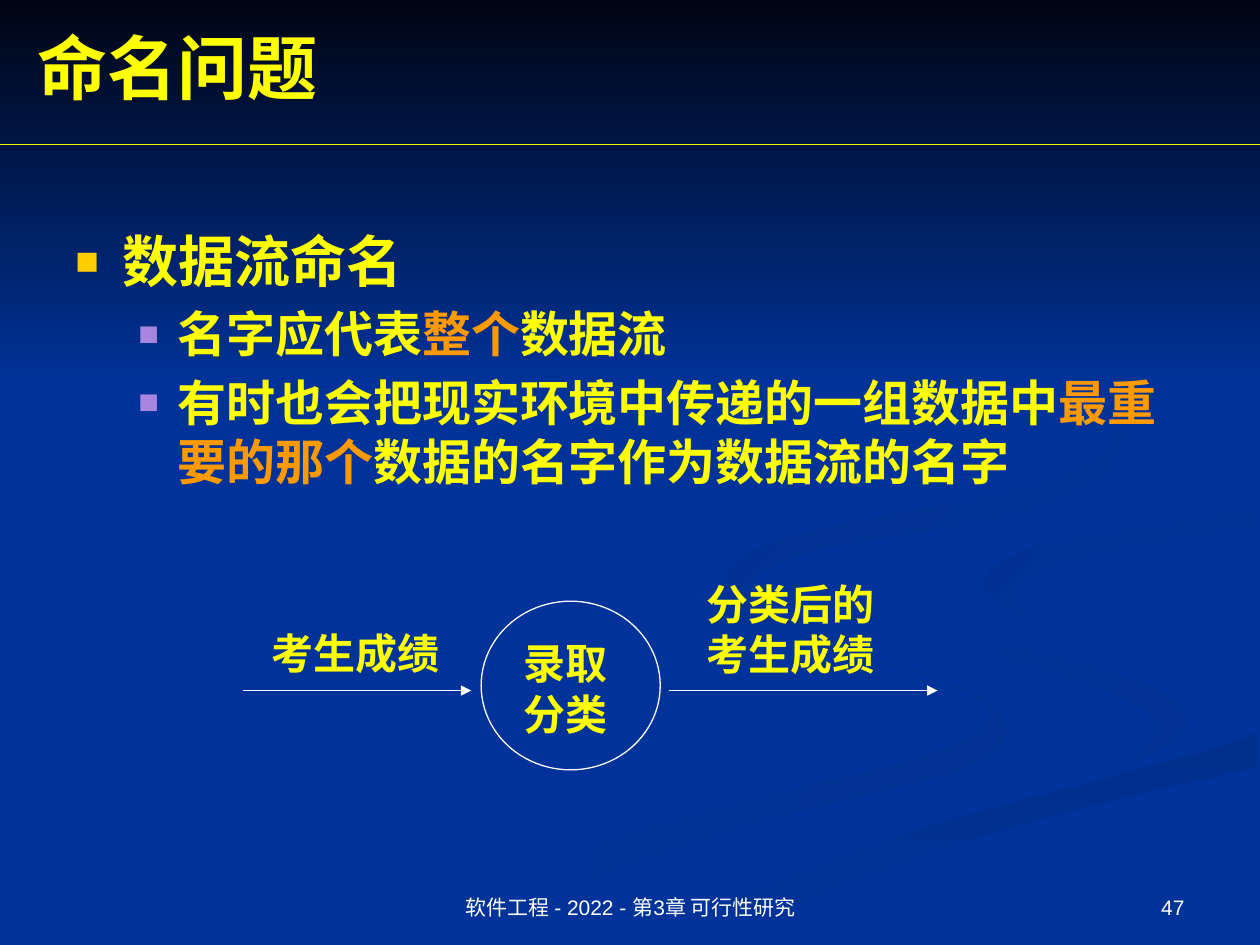
from lxml import etree
from pptx import Presentation
from pptx import util as u
from pptx.dml import color
from pptx.enum import shapes, text
from pptx.oxml import ns

BLUE, YELLOW, ORANGE, WHITE = "003399", "FFFF00", "FF9900", "FFFFFF"
HEADING = {"name": "Times New Roman", "size": u.Pt(40), "bold": True}
TOPIC = {**HEADING, "size": u.Pt(32)}
DETAIL = {**HEADING, "size": u.Pt(28)}
LABEL = {**HEADING, "size": u.Pt(24)}
FOOTER = {"name": "Arial", "size": u.Pt(12), "bold": False}

LOWER_LEFT_RIBBON = [
    (781, 553), (757, 543), (731, 533), (682, 519), (642, 507), (614, 496),
    (587, 481), (576, 469), (575, 459), (570, 468), (572, 476), (586, 487),
    (611, 499), (654, 513), (697, 525), (741, 539), (770, 551), (783, 559),
    (786, 566), (780, 579), (759, 590), (727, 602), (684, 613), (616, 629),
    (539, 649), (458, 674), (376, 707), (300, 749), (361, 749), (431, 714),
    (499, 687), (564, 665), (623, 647), (699, 628), (756, 614), (786, 601),
    (797, 588), (800, 581), (795, 567)]
INNER_RIBBON = [
    (943, 570), (935, 557), (919, 547), (888, 535), (850, 524), (792, 509),
    (758, 498), (733, 483), (724, 464), (727, 479), (739, 494), (766, 512),
    (797, 524), (838, 536), (880, 549), (907, 562), (917, 576), (914, 589),
    (894, 605), (925, 593), (941, 581)]
LOWER_RIGHT_RIBBON = [
    (519, 747), (503, 749), (571, 749), (614, 726), (670, 702), (752, 672),
    (821, 651), (903, 630), (998, 609), (998, 581), (963, 594), (903, 610),
    (831, 629), (764, 647), (696, 669), (630, 693), (569, 719)]
CENTRAL_RIBBON = [
    (725, 464), (734, 483), (759, 498), (793, 509), (851, 524), (889, 535),
    (920, 547), (939, 562), (943, 575), (931, 590), (902, 603), (843, 618),
    (743, 643), (663, 668), (573, 703), (477, 749), (503, 749), (519, 747),
    (570, 719), (630, 693), (696, 669), (765, 647), (868, 620), (964, 594),
    (999, 581), (999, 538), (941, 527), (866, 509), (817, 492), (786, 473),
    (781, 463), (792, 447), (822, 434), (865, 424), (933, 415), (999, 402),
    (999, 387), (942, 399), (830, 415), (770, 427), (732, 446)]
RIGHT_RIBBON = [
    (781, 460), (782, 469), (797, 483), (826, 496), (812, 487), (805, 476),
    (809, 466), (828, 453), (859, 443), (896, 435), (971, 423), (998, 420),
    (998, 402), (933, 415), (865, 424), (821, 434), (791, 447)]
UPPER_RIBBON = [
    (683, 430), (739, 421), (786, 412), (825, 402), (855, 391), (876, 378),
    (889, 362), (894, 344), (890, 324), (873, 299), (843, 275), (799, 250),
    (762, 233), (805, 254), (846, 279), (876, 306), (888, 328), (888, 341),
    (876, 360), (852, 374), (818, 386), (763, 398), (676, 414), (625, 426),
    (597, 437), (580, 451), (577, 462), (584, 479), (604, 492), (622, 500),
    (601, 485), (593, 470), (601, 456), (624, 444), (649, 436)]
RIBBONS = [
    (LOWER_LEFT_RIBBON, BLUE, "003193", 0),
    (INNER_RIBBON, BLUE, "003193", 45),
    (LOWER_RIGHT_RIBBON, "002F8C", BLUE, 90),
    (CENTRAL_RIBBON, BLUE, BLUE, 0),
    (RIGHT_RIBBON, "003091", BLUE, 45),
    (UPPER_RIBBON, "002F8E", BLUE, 45),
]


def rgb(value):
    return color.RGBColor.from_string(value)


def add_element(parent, tag, **attributes):
    return etree.SubElement(parent, ns.qn(tag), attributes)


class SlideBuilder:
    def __init__(self, slide, line_width=0.75):
        self.slide = slide
        self.line_width = u.Pt(line_width)

    def fill_gradient(self, shape, first, last, angle):
        shape.shadow.inherit = False
        shape.line.fill.background()
        shape.fill.gradient()
        shape.fill.gradient_angle = -angle % 360
        for stop, value in zip(shape.fill.gradient_stops, (first, last)):
            stop.color.rgb = rgb(value)

    def ribbon(self, points, first, last, angle):
        builder = self.slide.shapes.build_freeform(*points[0], scale=u.Cm(0.0254))
        builder.add_line_segments(points[1:], close=True)
        self.fill_gradient(builder.convert_to_shape(), first, last, angle)

    def band(self, box, first, last):
        shape = self.slide.shapes.add_shape(shapes.MSO_SHAPE.RECTANGLE, *map(u.Cm, box))
        self.fill_gradient(shape, first, last, 90)

    def outline(self, line, value):
        line.color.rgb = rgb(value)
        line.width = self.line_width

    def circle(self, box):
        shape = self.slide.shapes.add_shape(shapes.MSO_SHAPE.OVAL, *map(u.Cm, box))
        shape.shadow.inherit = False
        shape.fill.background()
        self.outline(shape.line, WHITE)

    def line(self, left, right, y, value, arrow=False):
        connector = self.slide.shapes.add_connector(
            shapes.MSO_CONNECTOR.STRAIGHT, *map(u.Cm, (left, y, right, y)))
        self.outline(connector.line, value)
        properties = connector._element.spPr
        if arrow:
            add_element(properties.find(ns.qn("a:ln")), "a:tailEnd", type="triangle")
        add_element(properties, "a:effectLst")

    def add_run(self, paragraph, content, style, value):
        run = paragraph.add_run()
        run.text = content
        for name, setting in style.items():
            setattr(run.font, name, setting)
        run.font.color.rgb = rgb(value)

    def title(self, box, content):
        shape = self.slide.shapes.title
        for name, length in zip(("left", "top", "width", "height"), box):
            setattr(shape, name, u.Cm(length))
        frame = shape.text_frame
        frame.vertical_anchor = text.MSO_ANCHOR.MIDDLE
        frame.paragraphs[0].alignment = text.PP_ALIGN.LEFT
        self.add_run(frame.paragraphs[0], content, HEADING, YELLOW)

    def label(self, box, lines, style=LABEL, value=YELLOW, align="LEFT", **frame_format):
        frame = self.slide.shapes.add_textbox(*map(u.Cm, box)).text_frame
        for name, setting in {"word_wrap": True, **frame_format}.items():
            setattr(frame, name, setting)
        for index, content in enumerate(lines):
            paragraph = frame.add_paragraph() if index else frame.paragraphs[0]
            paragraph.alignment = text.PP_ALIGN[align]
            self.add_run(paragraph, content, style, value)

    def bullets(self, box, items):
        frame = self.slide.shapes.add_textbox(*map(u.Cm, box)).text_frame
        frame.word_wrap = True
        for index, (level, pieces) in enumerate(items):
            paragraph = frame.add_paragraph() if index else frame.paragraphs[0]
            paragraph.level = level
            margin, hanging, bullet, style = (
                (2.06, 0.79, "A886E0", DETAIL) if level else (0.95, 0.95, "FFCC00", TOPIC))
            properties = paragraph._p.get_or_add_pPr()
            properties.set("marL", str(u.Cm(margin)))
            properties.set("indent", str(-u.Cm(hanging)))
            add_element(add_element(properties, "a:buClr"), "a:srgbClr", val=bullet)
            add_element(properties, "a:buSzPct", val="70000")
            add_element(properties, "a:buFont", typeface="Arial")
            add_element(properties, "a:buChar", char="■")
            if index:
                paragraph.space_before = u.Pt(style["size"].pt * 0.2)
            for content, value in pieces:
                self.add_run(paragraph, content, style, value)


def main():
    presentation = Presentation()
    presentation.slide_width, presentation.slide_height = u.Cm(25.4), u.Cm(19.05)
    slide = presentation.slides.add_slide(presentation.slide_layouts[5])
    slide.background.fill.solid()
    slide.background.fill.fore_color.rgb = rgb(BLUE)
    builder = SlideBuilder(slide)

    for ribbon in RIBBONS:
        builder.ribbon(*ribbon)
    builder.band((0, 0, 25.4, 7.82), "000514", BLUE)
    title_element = slide.shapes.title._element
    title_element.getparent().append(title_element)
    builder.title((0.51, 0.36, 22.86, 1.96), "命名问题")
    builder.line(0, 25.4, 2.92, YELLOW)
    builder.bullets((1.27, 4.45, 22.86, 5.87), [
        (0, [("数据流命名", YELLOW)]),
        (1, [("名字应代表", YELLOW), ("整个", ORANGE), ("数据流", YELLOW)]),
        (1, [("有时也会把现实环境中传递的一组数据中", YELLOW), ("最重要的那个", ORANGE),
             ("数据的名字作为数据流的名字", YELLOW)]),
    ])

    builder.circle((9.7, 12.12, 3.61, 3.4))
    for left, right in ((4.9, 9.5), (13.49, 18.9)):
        builder.line(left, right, 13.92, WHITE, arrow=True)
    grow = {"auto_size": text.MSO_AUTO_SIZE.SHAPE_TO_FIT_TEXT}
    builder.label((5.23, 12.52, 4.06, 1.3), ["考生成绩"], **grow)
    builder.label((14, 11.53, 4.7, 2.31), ["分类后的考生成绩"], **grow)
    builder.label((10.31, 12.73, 2.24, 2.31), ["录取", "分类"], word_wrap=False, **grow)

    bottom = {"vertical_anchor": text.MSO_ANCHOR.BOTTOM}
    builder.label((8.69, 17.35, 8.05, 1.32), ["软件工程 - 2022 - 第3章 可行性研究"],
                  FOOTER, WHITE, "CENTER", **bottom)
    builder.label((18.21, 17.35, 5.92, 1.32), ["47"], FOOTER, WHITE, "RIGHT", **bottom)
    presentation.save("out.pptx")


if __name__ == "__main__":
    main()
